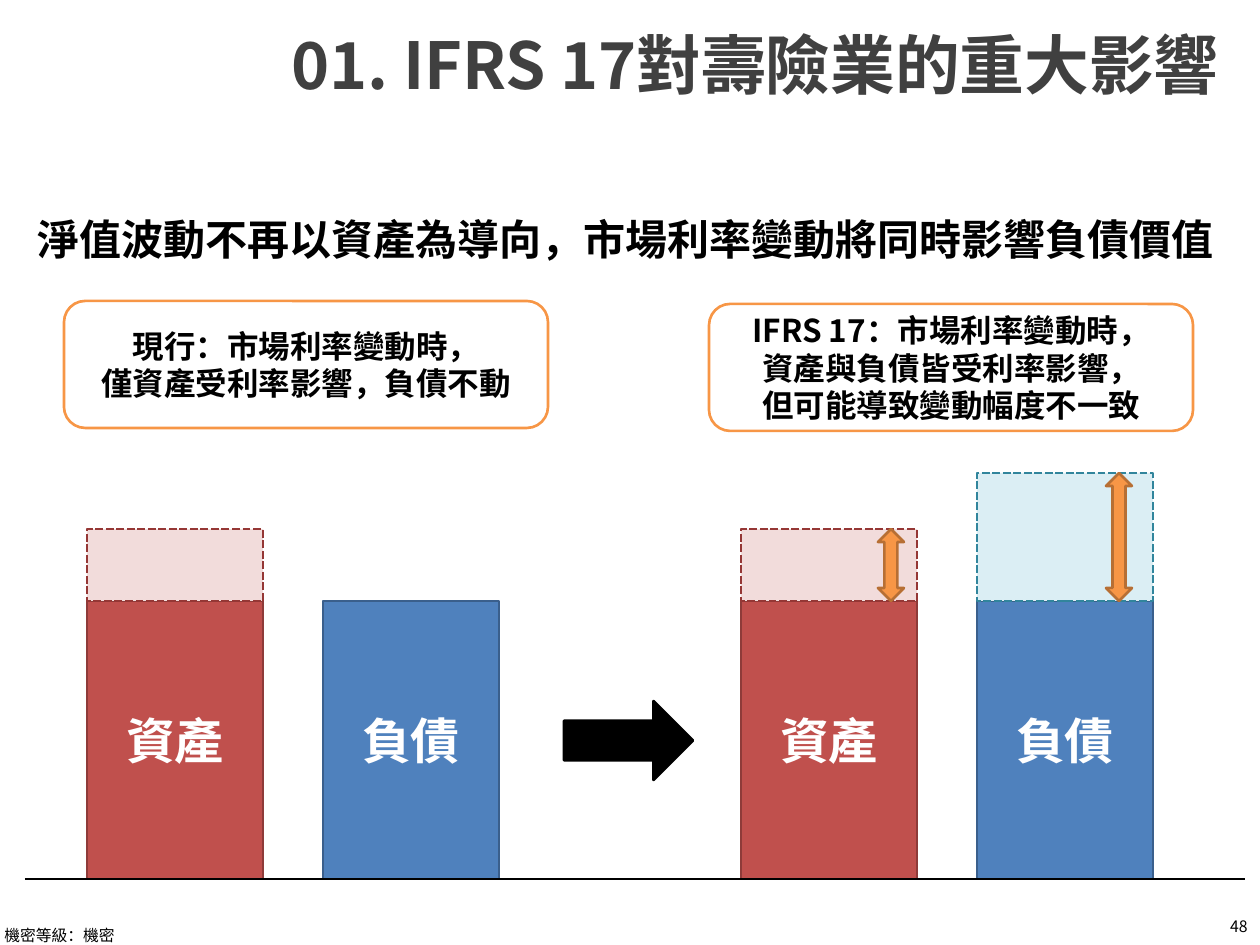
from lxml.etree import SubElement
from pptx import Presentation
from pptx.dml.color import RGBColor
from pptx.enum.dml import MSO_LINE
from pptx.enum.shapes import MSO_CONNECTOR, MSO_SHAPE
from pptx.enum.text import MSO_ANCHOR, MSO_AUTO_SIZE, PP_ALIGN
from pptx.oxml.ns import qn
from pptx.util import Emu, Pt

FONT = "Noto Sans CJK SC"
TITLE = "01. IFRS 17對壽險業的重大影響"
MESSAGE = "淨值波動不再以資產為導向，市場利率變動將同時影響負債價值"
FOOTER = "機密等級：機密"
PAGE = "48"

CALLOUTS = [
    (64, 301, ["現行：市場利率變動時，", "僅資產受利率影響，負債不動"]),
    (709, 304, ["IFRS 17：市場利率變動時，", "資產與負債皆受利率影響，", "但可能導致變動幅度不一致"]),
]
ASSET = dict(label="資產", fill="C0504D", line="8E3B39", soft="F2DCDB", dash="953735")
DEBT = dict(label="負債", fill="4F81BD", line="3A5F8C", soft="DBEEF4", dash="31859C")
# columns: left, kind, height of the rise, offset of the range arrow
BARS = [
    (87, ASSET, 72, None),
    (323, DEBT, 0, None),
    (741, ASSET, 72, 137),
    (977, DEBT, 128, 129),
]
BAR_W, BAR_TOP, BASE = 176, 601, 879
ARROW_W = 26


def px(n):
    return Emu(round(n * 914400 / 126))


def rgb(value):
    return RGBColor.from_string(value)


def write(sp, lines, size, color="000000", bold=False, align=PP_ALIGN.LEFT,
          anchor=MSO_ANCHOR.TOP, spacing=None, wrap=True, insets=None):
    tf = sp.text_frame
    tf.word_wrap = wrap
    tf.auto_size = MSO_AUTO_SIZE.NONE
    tf.vertical_anchor = anchor
    if insets:
        tf.margin_left = tf.margin_right = px(insets[0])
        tf.margin_top = tf.margin_bottom = px(insets[1])
    for i, line in enumerate(lines):
        p = tf.paragraphs[0] if i == 0 else tf.add_paragraph()
        p.alignment = align
        p.space_before = Pt(0)
        if spacing:
            p.line_spacing = spacing
        r = p.add_run()
        r.text = line
        r.font.size = Pt(size)
        r.font.bold = bold
        r.font.name = FONT
        r.font.color.rgb = rgb(color)
        SubElement(r.font._element, qn("a:ea")).set("typeface", FONT)


def text_box(s, x, y, w, h, text, size, **fmt):
    write(s.shapes.add_textbox(px(x), px(y), px(w), px(h)), [text], size, **fmt)


def shape(s, kind, x, y, w, h, fill, line, dashed=False):
    sp = s.shapes.add_shape(kind, px(x), px(y), px(w), px(h))
    sp.shadow.inherit = False
    sp.fill.solid()
    sp.fill.fore_color.rgb = rgb(fill)
    sp.line.color.rgb = rgb(line)
    sp.line.width = Pt(1.5)
    if dashed:
        sp.line.dash_style = MSO_LINE.SQUARE_DOT
        sp.line._ln.find(qn("a:prstDash")).set("val", "sysDash")
    return sp


def add_bar(s, x, kind, rise, arrow):
    sp = shape(s, MSO_SHAPE.RECTANGLE, x, BAR_TOP, BAR_W, BASE - BAR_TOP,
               kind["fill"], kind["line"])
    write(sp, [kind["label"]], 28, color="FFFFFF", bold=True,
          align=PP_ALIGN.CENTER, anchor=MSO_ANCHOR.MIDDLE)
    top = BAR_TOP - rise
    if rise:
        shape(s, MSO_SHAPE.RECTANGLE, x, top, BAR_W, rise, kind["soft"], kind["dash"], dashed=True)
    if arrow:
        sp = shape(s, MSO_SHAPE.UP_DOWN_ARROW, x + arrow, top, ARROW_W, rise, "F79646", "B76F34")
        sp.adjustments[0] = 0.26
        sp.adjustments[1] = 0.5


def main():
    prs = Presentation()
    prs.slide_width, prs.slide_height = px(1260), px(945)
    s = prs.slides.add_slide(prs.slide_layouts[5])

    title = s.shapes.title
    title.left, title.top, title.width, title.height = px(275), px(16), px(990), px(90)
    write(title, [TITLE], 37, color="404040", bold=True, insets=(16, 9))
    text_box(s, 25, 195, 1207, 238, MESSAGE, 24, bold=True,
             align=PP_ALIGN.JUSTIFY, spacing=1.25)

    for x, y, lines in CALLOUTS:
        sp = shape(s, MSO_SHAPE.ROUNDED_RECTANGLE, x, y, 484, 127, "FFFFFF", "F79646")
        write(sp, lines, 18, bold=True, align=PP_ALIGN.CENTER, anchor=MSO_ANCHOR.MIDDLE)

    for bar in BARS:
        add_bar(s, *bar)
    shape(s, MSO_SHAPE.RIGHT_ARROW, 564, 701, 129, 79, "000000", "000000")

    base = s.shapes.add_connector(MSO_CONNECTOR.STRAIGHT, px(25), px(BASE), px(1245), px(BASE))
    base.line.color.rgb = rgb("000000")
    base.line.width = Pt(1.5)
    SubElement(base._element.spPr, qn("a:effectLst"))

    text_box(s, 1174, 911, 86, 32, PAGE, 9, align=PP_ALIGN.RIGHT)
    text_box(s, -8, 920, 935, 39, FOOTER, 9)
    prs.save("out.pptx")


if __name__ == "__main__":
    main()
